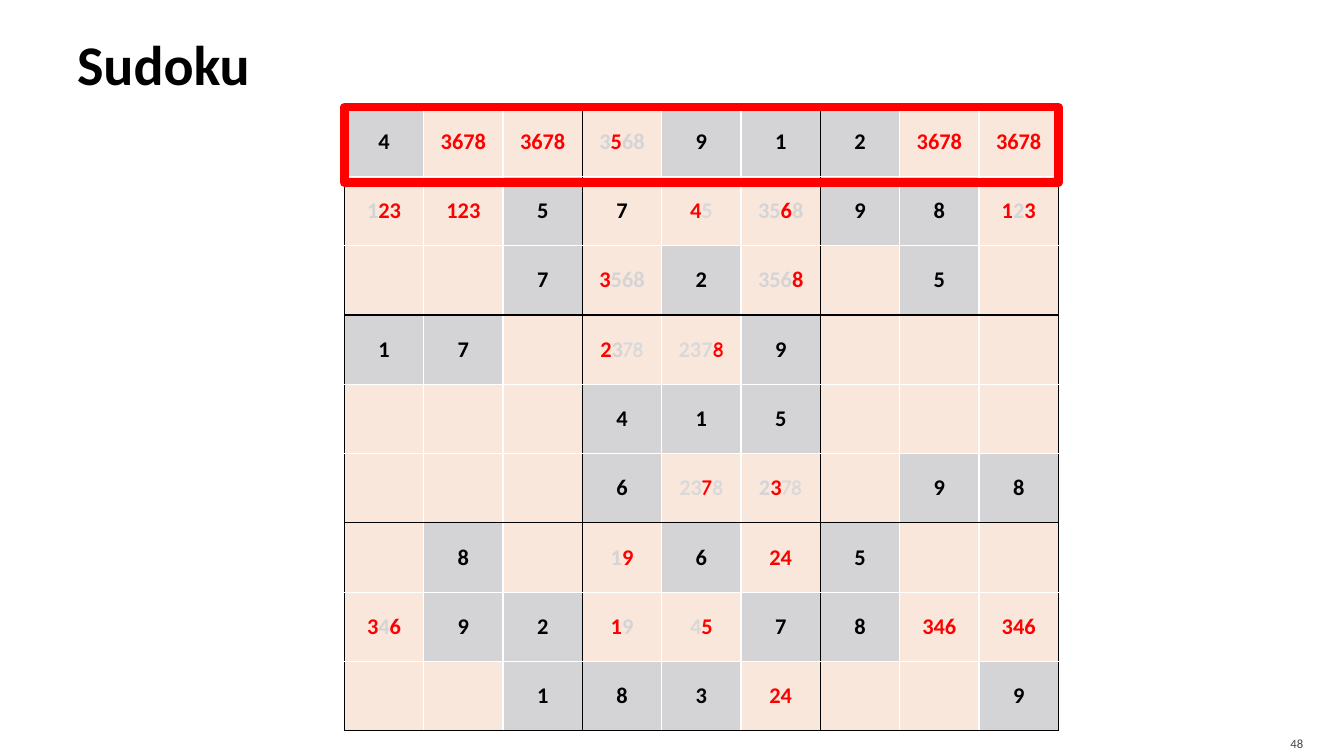
from pptx import Presentation
from pptx.dml.color import RGBColor
from pptx.enum.shapes import MSO_SHAPE as Shape
from pptx.enum.text import MSO_ANCHOR as Anchor, PP_ALIGN as Align
from pptx.oxml.ns import qn
from pptx.util import Pt
from lxml.etree import SubElement

BLACK = RGBColor(0x00, 0x00, 0x00)
WHITE = RGBColor(0xFF, 0xFF, 0xFF)
RED = RGBColor(0xFF, 0x00, 0x00)
GREY = RGBColor(0xD4, 0xD4, 0xD6)
LIGHT_GREY = RGBColor(0xD9, 0xD9, 0xD9)
PEACH = RGBColor(0xFA, 0xE7, 0xDC)
DARK_GREY = RGBColor(0x45, 0x45, 0x45)

BODY_FONT = "Calibri"
COMIC_FONT = "Comic Neue"
GRID_LEFT, GRID_TOP = 246, 76.5
GRID_WIDTH, GRID_HEIGHT = 510, 445.5
SIZE, BLOCK = 9, 3

GIVEN_MARK = "*"
SPAN_STYLES = {
    "~": (GREY, BODY_FONT),
    "^": (LIGHT_GREY, BODY_FONT),
    "-": (LIGHT_GREY, COMIC_FONT),
    "+": (RED, COMIC_FONT),
}
PUZZLE = [
    "*4|3678|3678|~3 5 ~68|*9|*1|*2|3678|3678",
    "~1 23|123|*5|7|4 ^5|~35 6 ~8|*9|*8|1 ~2 3",
    "||*7|3 ~568|*2|~356 8||*5|",
    "*1|*7||2 ~3 -78|^237 +8|*9|||",
    "|||*4|*1|*5|||",
    "|||*6|^23 +7 -8|~2 3 -78||*9|*8",
    "|*8||~1 9|*6|24|*5||",
    "3 ~4 6|*9|*2|1 ~9|^4 5|*7|*8|346|346",
    "||*1|*8|*3|24|||*9",
]


def add_span(para, text, size=16, color=BLACK, font=BODY_FONT, bold=False):
    span = para.add_run()
    span.text = text
    span.font.size = Pt(size)
    span.font.name = font
    span.font.bold = bold
    span.font.color.rgb = color


def add_text(page, text, left, top, width, height, margins, align=Align.LEFT, **style):
    box = page.shapes.add_textbox(Pt(left), Pt(top), Pt(width), Pt(height))
    frame = box.text_frame
    frame.word_wrap = True
    frame.vertical_anchor = Anchor.MIDDLE
    frame.margin_left, frame.margin_top, frame.margin_right, frame.margin_bottom = map(Pt, margins)
    para = frame.paragraphs[0]
    para.alignment = align
    add_span(para, text, **style)


def set_borders(cell, row, column):
    properties = cell._tc.get_or_add_tcPr()
    edges = {"a:lnL": column, "a:lnR": column + 1, "a:lnT": row, "a:lnB": row + 1}
    for tag, position in edges.items():
        line = SubElement(properties, qn(tag), w=str(Pt(1)))
        fill = SubElement(line, qn("a:solidFill"))
        color = WHITE if position % BLOCK else BLACK
        SubElement(fill, qn("a:srgbClr"), val=str(color))


def fill_cell(cell, entry):
    given = entry.startswith(GIVEN_MARK)
    digits = entry.lstrip(GIVEN_MARK)
    cell.fill.solid()
    cell.fill.fore_color.rgb = GREY if given else PEACH
    cell.vertical_anchor = Anchor.MIDDLE
    para = cell.text_frame.paragraphs[0]
    para.alignment = Align.CENTER
    para.font.size = Pt(16)
    plain_color = BLACK if len(digits) == 1 else RED
    for part in digits.split():
        color, font = SPAN_STYLES.get(part[0], (plain_color, BODY_FONT))
        text = part[1:] if part[0] in SPAN_STYLES else part
        add_span(para, text, color=color, font=font, bold=True)


def add_grid(page):
    frame = page.shapes.add_table(
        SIZE, SIZE, Pt(GRID_LEFT), Pt(GRID_TOP), Pt(GRID_WIDTH), Pt(GRID_HEIGHT)
    )
    table = frame.table
    table.first_row = False
    table.horz_banding = False
    for row, entries in enumerate(PUZZLE):
        for column, entry in enumerate(entries.split("|")):
            cell = table.cell(row, column)
            set_borders(cell, row, column)
            fill_cell(cell, entry)


def add_row_frame(page):
    box = page.shapes.add_shape(
        Shape.RECTANGLE, Pt(GRID_LEFT), Pt(GRID_TOP), Pt(GRID_WIDTH), Pt(54)
    )
    box.shadow.inherit = False
    box.fill.background()
    box.line.color.rgb = RED
    box.line.width = Pt(6)


def main():
    deck = Presentation()
    deck.slide_width, deck.slide_height = Pt(960), Pt(540)
    page = deck.slides.add_slide(deck.slide_layouts[6])
    add_text(page, "Sudoku", 48, 6, 864, 78, (7.2, 3.6, 3.6, 3.6), size=40, bold=True)
    add_text(page, "48", 861, 518.4, 77, 21.6, (7.2, 3.6, 7.2, 0),
             align=Align.RIGHT, size=9, color=DARK_GREY)
    add_grid(page)
    add_row_frame(page)
    deck.save("out.pptx")


if __name__ == "__main__":
    main()
